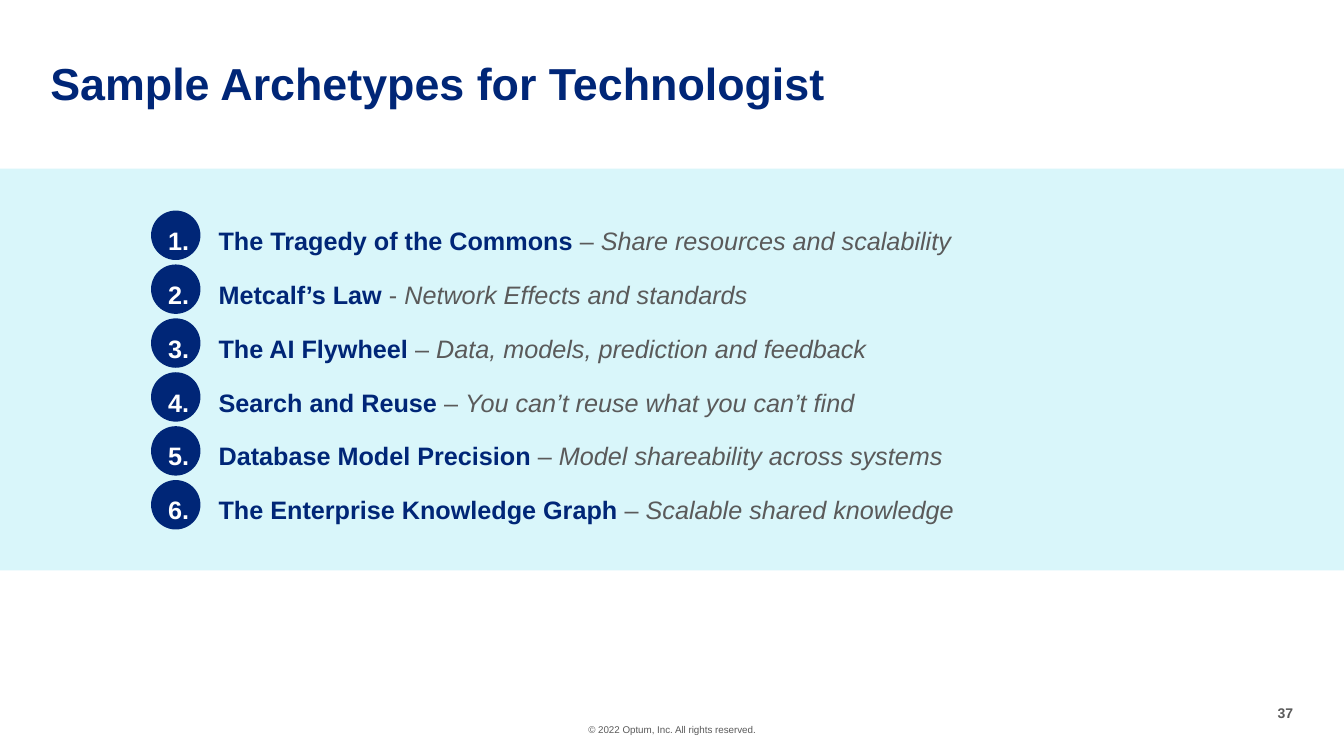
import pptx
import pptx.util
import pptx.dml.color
import pptx.enum.shapes
import pptx.enum.text
import pptx.oxml.ns
import lxml.etree

Pt = pptx.util.Pt
Align = pptx.enum.text.PP_ALIGN
Fit = pptx.enum.text.MSO_AUTO_SIZE
Shape = pptx.enum.shapes.MSO_SHAPE

TITLE = "Sample Archetypes for Technologist"
ITEMS = [
    ("The Tragedy of the Commons ", "– ", "Share resources and scalability"),
    ("Metcalf’s Law ", "- ", "Network Effects and standards"),
    ("The AI Flywheel ", "– ", "Data, models, prediction and feedback"),
    ("Search and Reuse ", "– ", "You can’t reuse what you can’t find"),
    ("Database Model Precision ", "– ", "Model shareability across systems"),
    ("The Enterprise Knowledge Graph ", "– ", "Scalable shared knowledge"),
]
RIGHTS = "© 2022 Optum, Inc. All rights reserved."
PAGE = "37"

THEME = {
    "font": "Arial",
    "navy": "002677", "gray": "5A5A5A", "aqua": "D9F6FA", "white": "FFFFFF",
    "title": 32, "body": 18, "page": 10, "rights": 7,
}

WIDE, HIGH = 960, 540
BAND = (0, 120.5, WIDE, 287)
DOT_LEFT, DOT_TOP, DOT_SIZE, DOT_STEP = 107.9, 150.4, 35.3, 38.5
LIST = (120.2, 150.4, 607.7, 244)
INDENT = 36


def color(name):
    return pptx.dml.color.RGBColor.from_string(THEME[name])


def add_fill(slide, kind, area, tint):
    shape = slide.shapes.add_shape(kind, *map(Pt, area))
    shape.shadow.inherit = False
    shape.fill.solid()
    shape.fill.fore_color.rgb = color(tint)
    shape.line.fill.background()


def add_number(para):
    props = para._p.get_or_add_pPr()
    props.set("marL", str(Pt(INDENT)))
    props.set("indent", str(-Pt(INDENT)))
    qn = pptx.oxml.ns.qn
    tint = lxml.etree.SubElement(props, qn("a:buClr"))
    lxml.etree.SubElement(tint, qn("a:srgbClr"), val=THEME["white"])
    lxml.etree.SubElement(props, qn("a:buFont"), typeface="+mj-lt")
    lxml.etree.SubElement(props, qn("a:buAutoNum"), type="arabicPeriod")


def add_text(slide, area, lines, size, align=Align.LEFT, space=1.0, gap=0,
             number=False, wrap=True, fit=Fit.SHAPE_TO_FIT_TEXT):
    frame = slide.shapes.add_textbox(*map(Pt, area)).text_frame
    frame.margin_left = frame.margin_right = 0
    frame.margin_top = frame.margin_bottom = 0
    frame.word_wrap = wrap
    frame.auto_size = fit
    for index, parts in enumerate(lines):
        para = frame.add_paragraph() if index else frame.paragraphs[0]
        if number:
            add_number(para)
        para.alignment = align
        para.line_spacing = space
        para.space_before = Pt(gap if index else 0)
        for text, tint, bold, slant in parts:
            run = para.add_run()
            run.text = text
            font = run.font
            font.name = THEME["font"]
            font.size = Pt(THEME[size])
            font.color.rgb = color(tint)
            font.bold = bold
            font.italic = slant


def main():
    deck = pptx.Presentation()
    deck.slide_width, deck.slide_height = Pt(WIDE), Pt(HIGH)
    slide = deck.slides.add_slide(deck.slide_layouts[6])

    add_text(slide, (370, 517, 220, 8.6), [[(RIGHTS, "gray", False, False)]],
             "rights", align=Align.CENTER)
    add_text(slide, (911.5, 503.3, 12.2, 12.2), [[(PAGE, "gray", True, False)]],
             "page", align=Align.RIGHT, wrap=False)

    add_fill(slide, Shape.RECTANGLE, BAND, "aqua")
    for row in range(len(ITEMS)):
        spot = (DOT_LEFT, DOT_TOP + row * DOT_STEP, DOT_SIZE, DOT_SIZE)
        add_fill(slide, Shape.OVAL, spot, "navy")

    add_text(slide, (36, 43.9, 756, 34.6), [[(TITLE, "navy", True, False)]],
             "title", space=0.9)
    lines = [[(name, "navy", True, False), (dash, "gray", False, False),
              (note, "gray", False, True)] for name, dash, note in ITEMS]
    add_text(slide, LIST, lines, "body", space=1.5, gap=6,
             number=True, fit=Fit.NONE)

    deck.save("out.pptx")


if __name__ == "__main__":
    main()
